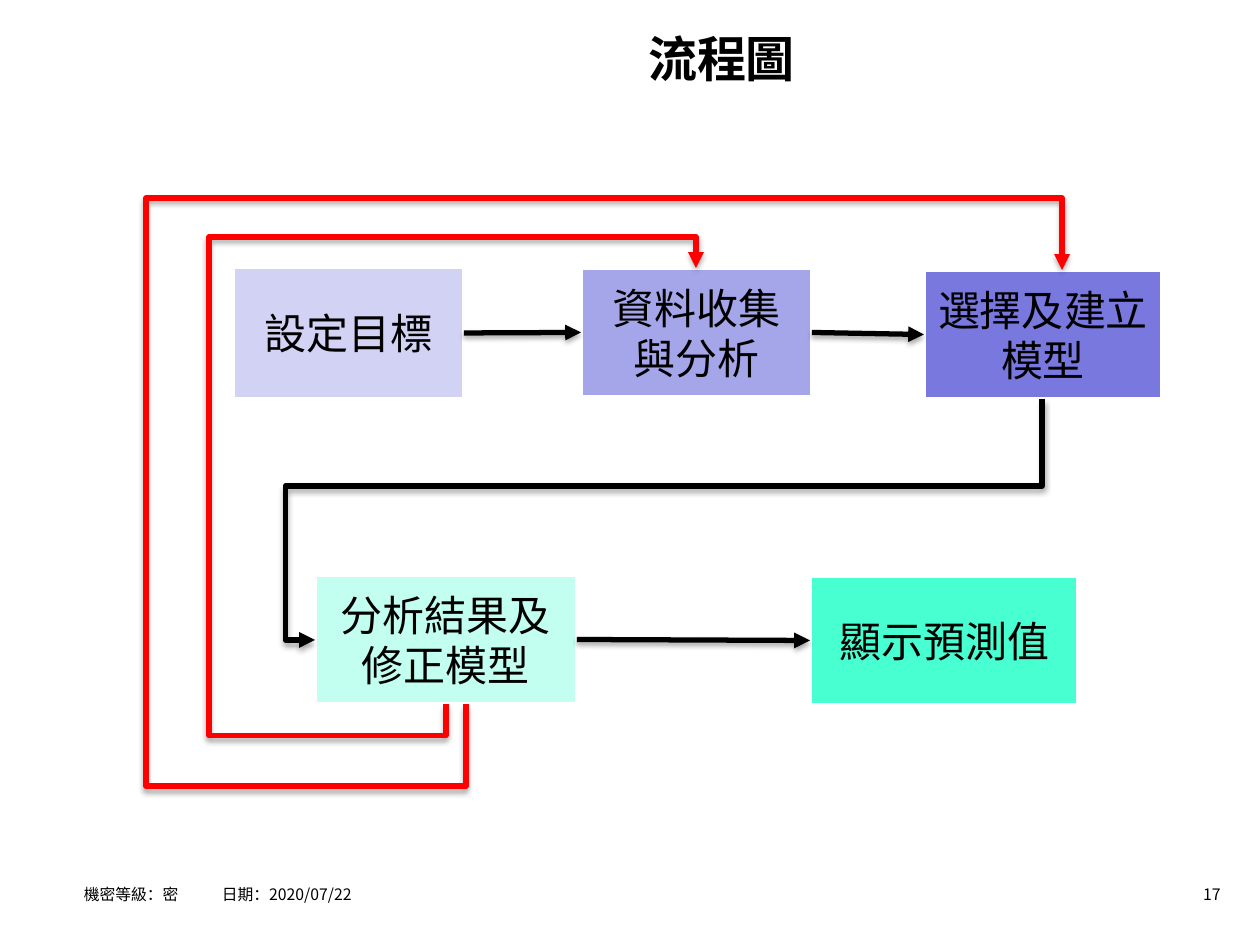
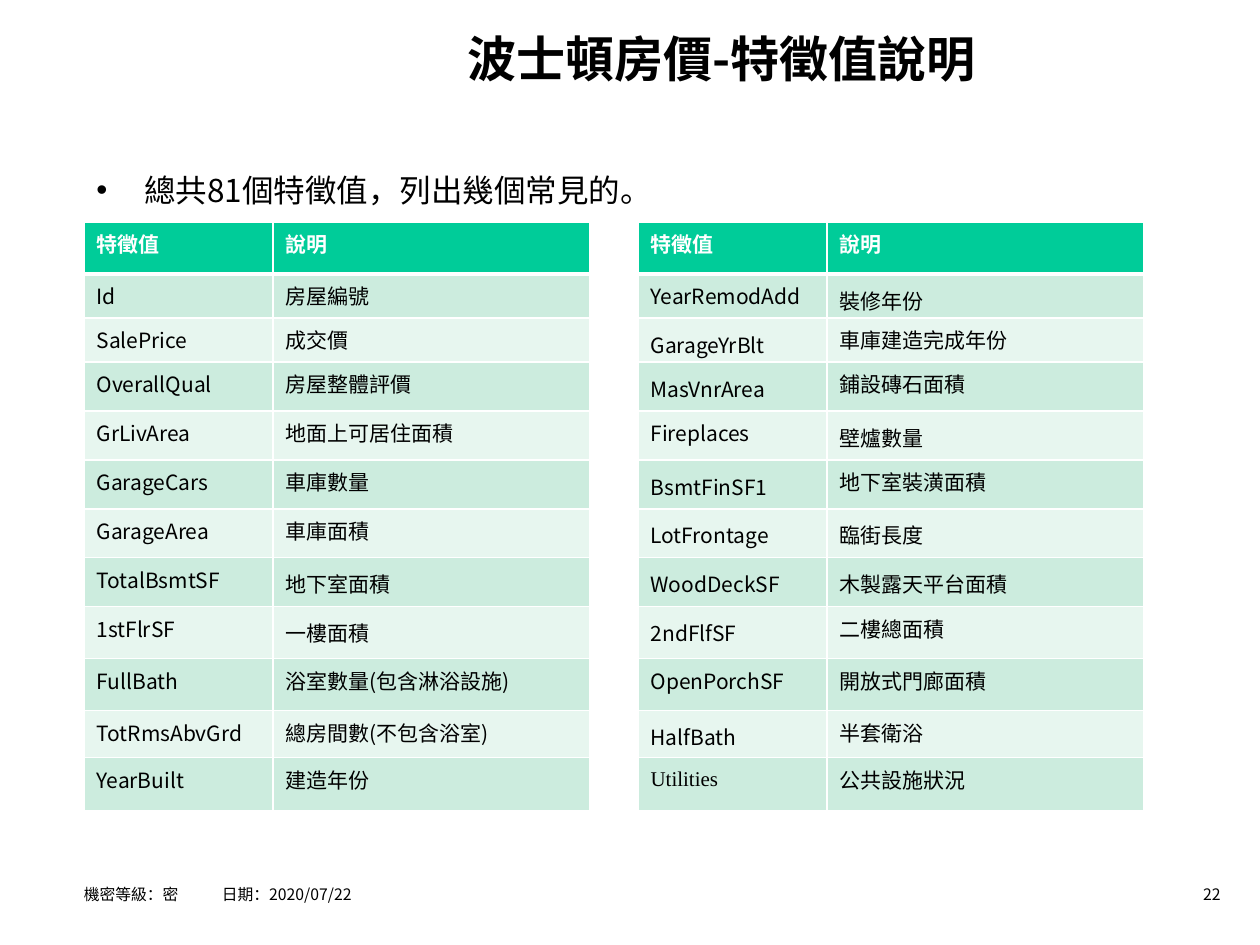
from dataclasses import dataclass

from lxml.etree import SubElement
from pptx import Presentation
from pptx.dml.color import RGBColor
from pptx.enum.shapes import MSO_CONNECTOR, MSO_SHAPE
from pptx.enum.text import MSO_ANCHOR, MSO_AUTO_SIZE, PP_ALIGN
from pptx.oxml import parse_xml
from pptx.oxml.ns import nsdecls, qn
from pptx.util import Emu, Pt

EMU_PER_PX = 914400 / 126
TITLE_ONLY = 5
TOP, LEFT, BOTTOM, RIGHT = range(4)


@dataclass(frozen=True)
class Theme:
    font: str = "Noto Sans CJK SC"
    serif: str = "Times New Roman"
    ink: str = "000000"
    paper: str = "FFFFFF"
    feedback: str = "FF0000"
    goal: str = "D2D2F4"
    collect: str = "A5A5E9"
    build: str = "7878DE"
    revise: str = "C2FFF0"
    show: str = "47FFD1"
    header: str = "00CC99"
    bands: tuple = ("CCECDE", "E7F6EF")
    title_size: int = 28
    step_size: int = 24
    body_size: int = 18
    table_size: int = 12
    footer_size: int = 9


THEME = Theme()

LEFT_FEATURES = [
    ("Id", "房屋編號"),
    ("SalePrice", "成交價"),
    ("OverallQual", "房屋整體評價"),
    ("GrLivArea", "地面上可居住面積"),
    ("GarageCars", "車庫數量"),
    ("GarageArea", "車庫面積"),
    ("TotalBsmtSF", "地下室面積"),
    ("1stFlrSF", "一樓面積"),
    ("FullBath", "浴室數量(包含淋浴設施)"),
    ("TotRmsAbvGrd", "總房間數(不包含浴室)"),
    ("YearBuilt", "建造年份"),
]
RIGHT_FEATURES = [
    ("YearRemodAdd", "裝修年份"),
    ("GarageYrBlt", "車庫建造完成年份"),
    ("MasVnrArea", "鋪設磚石面積"),
    ("Fireplaces", "壁爐數量"),
    ("BsmtFinSF1", "地下室裝潢面積"),
    ("LotFrontage", "臨街長度"),
    ("WoodDeckSF", "木製露天平台面積"),
    ("2ndFlfSF", "二樓總面積"),
    ("OpenPorchSF", "開放式門廊面積"),
    ("HalfBath", "半套衛浴"),
    ("Utilities", "公共設施狀況"),
]
LOOSE_CELLS = {
    "地下室面積", "一樓面積", "裝修年份", "GarageYrBlt", "MasVnrArea", "壁爐數量",
    "BsmtFinSF1", "LotFrontage", "臨街長度", "WoodDeckSF", "木製露天平台面積",
    "2ndFlfSF", "HalfBath", "Utilities",
}
COLUMN_WIDTHS = (189, 317)
ROW_HEIGHTS = (52, 44, 44, 49, 49, 49, 49, 49, 52, 52, 47, 53)


def px(length):
    return Emu(round(length * EMU_PER_PX))


def rgb(color):
    return RGBColor.from_string(color)


def write(frame, text, size, color=THEME.ink, font=THEME.font, bold=False,
          align=PP_ALIGN.LEFT, anchor=MSO_ANCHOR.TOP, spacing=None, before=None):
    frame.word_wrap = True
    frame.vertical_anchor = anchor
    paragraph = frame.paragraphs[0]
    paragraph.alignment = align
    if spacing is not None:
        paragraph.line_spacing = spacing
    if before is not None:
        paragraph.space_before = Pt(before)
    run = paragraph.add_run()
    run.text = text
    run.font.size = Pt(size)
    run.font.bold = bold
    run.font.color.rgb = rgb(color)
    run.font.name = font
    SubElement(run.font._element, qn("a:ea"), typeface=font)
    return paragraph


class Deck:
    def __init__(self, theme):
        self.theme = theme
        self.presentation = Presentation()
        self.presentation.slide_width = px(1260)
        self.presentation.slide_height = px(945)
        self.slide = None

    def start(self, title, number):
        layout = self.presentation.slide_layouts[TITLE_ONLY]
        self.slide = self.presentation.slides.add_slide(layout)
        heading = self.slide.shapes.title
        heading.left, heading.top, heading.width, heading.height = map(px, (291, 21, 861, 74))
        heading.text_frame.auto_size = MSO_AUTO_SIZE.NONE
        write(heading.text_frame, title, self.theme.title_size, bold=True,
              align=PP_ALIGN.CENTER, anchor=MSO_ANCHOR.MIDDLE)
        self.text(1147, 879, 86, 32, str(number), self.theme.footer_size, align=PP_ALIGN.RIGHT)
        footer = self.text(84, 869, 935, 39, "機密等級：密\t日期：2020/07/22",
                           self.theme.footer_size, inset=0, spacing=1.5, before=2.7)
        tabs = SubElement(footer._p.get_or_add_pPr(), qn("a:tabLst"))
        SubElement(tabs, qn("a:tab"), pos=str(px(138)), algn="l")

    def text(self, left, top, width, height, text, size, inset=None, **style):
        frame = self.slide.shapes.add_textbox(*map(px, (left, top, width, height))).text_frame
        if inset is not None:
            frame.margin_left = px(inset)
        return write(frame, text, size, **style)

    def bullet(self, left, top, width, height, text):
        paragraph = self.text(left, top, width, height, text, self.theme.body_size, before=3.6)
        properties = paragraph._p.get_or_add_pPr()
        properties.set("marL", str(px(48)))
        properties.set("indent", str(-px(48)))
        SubElement(properties, qn("a:buFont"), typeface="Arial")
        SubElement(properties, qn("a:buChar"), char="•")

    def step(self, left, top, width, height, text, fill):
        box = self.slide.shapes.add_shape(MSO_SHAPE.RECTANGLE, *map(px, (left, top, width, height)))
        box.shadow.inherit = False
        box.fill.solid()
        box.fill.fore_color.rgb = rgb(fill)
        box.line.color.rgb = rgb(self.theme.paper)
        box.line.width = Pt(2)
        write(box.text_frame, text, self.theme.step_size,
              align=PP_ALIGN.CENTER, anchor=MSO_ANCHOR.MIDDLE)
        return box

    def finish_arrow(self, arrow, color):
        arrow.line.color.rgb = rgb(color)
        arrow.line.width = Pt(3)
        SubElement(arrow.line._get_or_add_ln(), qn("a:tailEnd"), type="triangle")
        arrow._element.spPr.append(parse_xml(
            f'<a:effectLst {nsdecls("a")}><a:outerShdw blurRad="39370" dist="22860" '
            'dir="5400000" rotWithShape="0"><a:srgbClr val="000000"><a:alpha val="35000"/>'
            '</a:srgbClr></a:outerShdw></a:effectLst>'))

    def arrow(self, source, target):
        arrow = self.slide.shapes.add_connector(MSO_CONNECTOR.STRAIGHT, 0, 0, 0, 0)
        arrow.begin_connect(source, RIGHT)
        arrow.end_connect(target, LEFT)
        self.finish_arrow(arrow, self.theme.ink)

    def bent_arrow(self, start, end, turns, color):
        across, down = end[0] - start[0], end[1] - start[1]
        width, height = abs(down), abs(across)
        left = (start[0] + end[0] - width) / 2
        top = (start[1] + end[1] - height) / 2
        arrow = self.slide.shapes.add_connector(
            MSO_CONNECTOR.ELBOW, px(left), px(top), px(left + width), px(top + height))
        properties = arrow._element.spPr
        properties.find(qn("a:xfrm")).set("rot", str((90 if down > 0 else 270) * 60000))
        geometry = properties.find(qn("a:prstGeom"))
        geometry.set("prst", f"bentConnector{len(turns) + 2}")
        guides = geometry.find(qn("a:avLst"))
        if guides is None:
            guides = SubElement(geometry, qn("a:avLst"))
        for index, turn in enumerate(turns):
            axis = (index + 1) % 2
            ratio = (turn - start[axis]) / (end[axis] - start[axis])
            SubElement(guides, qn("a:gd"), name=f"adj{index + 1}",
                       fmla=f"val {round(ratio * 100000)}")
        self.finish_arrow(arrow, color)

    def cell(self, cell, text, fill, bottom=1, **style):
        cell.fill.solid()
        cell.fill.fore_color.rgb = rgb(fill)
        write(cell.text_frame, text, self.theme.table_size, **style)
        widths = {"L": 1, "R": 1, "T": 1, "B": bottom}
        for index, (side, width) in enumerate(widths.items()):
            cell._tc.get_or_add_tcPr().insert(index, parse_xml(
                f'<a:ln{side} {nsdecls("a")} w="{Pt(width)}"><a:solidFill>'
                f'<a:srgbClr val="{self.theme.paper}"/></a:solidFill></a:ln{side}>'))

    def feature_table(self, left, top, features):
        table = self.slide.shapes.add_table(
            len(ROW_HEIGHTS), len(COLUMN_WIDTHS), px(left), px(top),
            px(sum(COLUMN_WIDTHS)), px(sum(ROW_HEIGHTS))).table
        for column, width in zip(table.columns, COLUMN_WIDTHS):
            column.width = px(width)
        for row, height in zip(table.rows, ROW_HEIGHTS):
            row.height = px(height)
        for column, heading in enumerate(("特徵值", "說明")):
            self.cell(table.cell(0, column), heading, self.theme.header, bottom=3,
                      color=self.theme.paper, bold=True)
        for row, feature in enumerate(features, 1):
            for column, text in enumerate(feature):
                style = {"spacing": 1.15, "before": 6} if text in LOOSE_CELLS else {}
                if text == "Utilities":
                    style["font"] = self.theme.serif
                self.cell(table.cell(row, column), text, self.theme.bands[(row - 1) % 2], **style)


def flowchart(deck):
    theme = deck.theme
    deck.start("流程圖", 17)
    goal = deck.step(233, 267, 231, 132, "設定目標", theme.goal)
    collect = deck.step(581, 268, 231, 129, "資料收集與分析", theme.collect)
    build = deck.step(924, 270, 238, 129, "選擇及建立模型", theme.build)
    revise = deck.step(315, 575, 262, 129, "分析結果及修正模型", theme.revise)
    show = deck.step(810, 576, 268, 129, "顯示預測值", theme.show)
    for source, target in ((goal, collect), (collect, build), (revise, show)):
        deck.arrow(source, target)
    deck.bent_arrow((1042, 399), (315, 640), (486, 285), theme.ink)
    deck.bent_arrow((446, 704), (696, 268), (736, 209, 237), theme.feedback)
    deck.bent_arrow((466, 704), (1062, 270), (786, 146, 198), theme.feedback)


def feature_guide(deck):
    deck.start("波士頓房價-特徵值說明", 22)
    deck.bullet(84, 165, 1101, 704, "總共81個特徵值，列出幾個常見的。")
    for left, features in ((84, LEFT_FEATURES), (638, RIGHT_FEATURES)):
        deck.feature_table(left, 222, features)


def main():
    deck = Deck(THEME)
    flowchart(deck)
    feature_guide(deck)
    deck.presentation.save("out.pptx")


if __name__ == "__main__":
    main()
